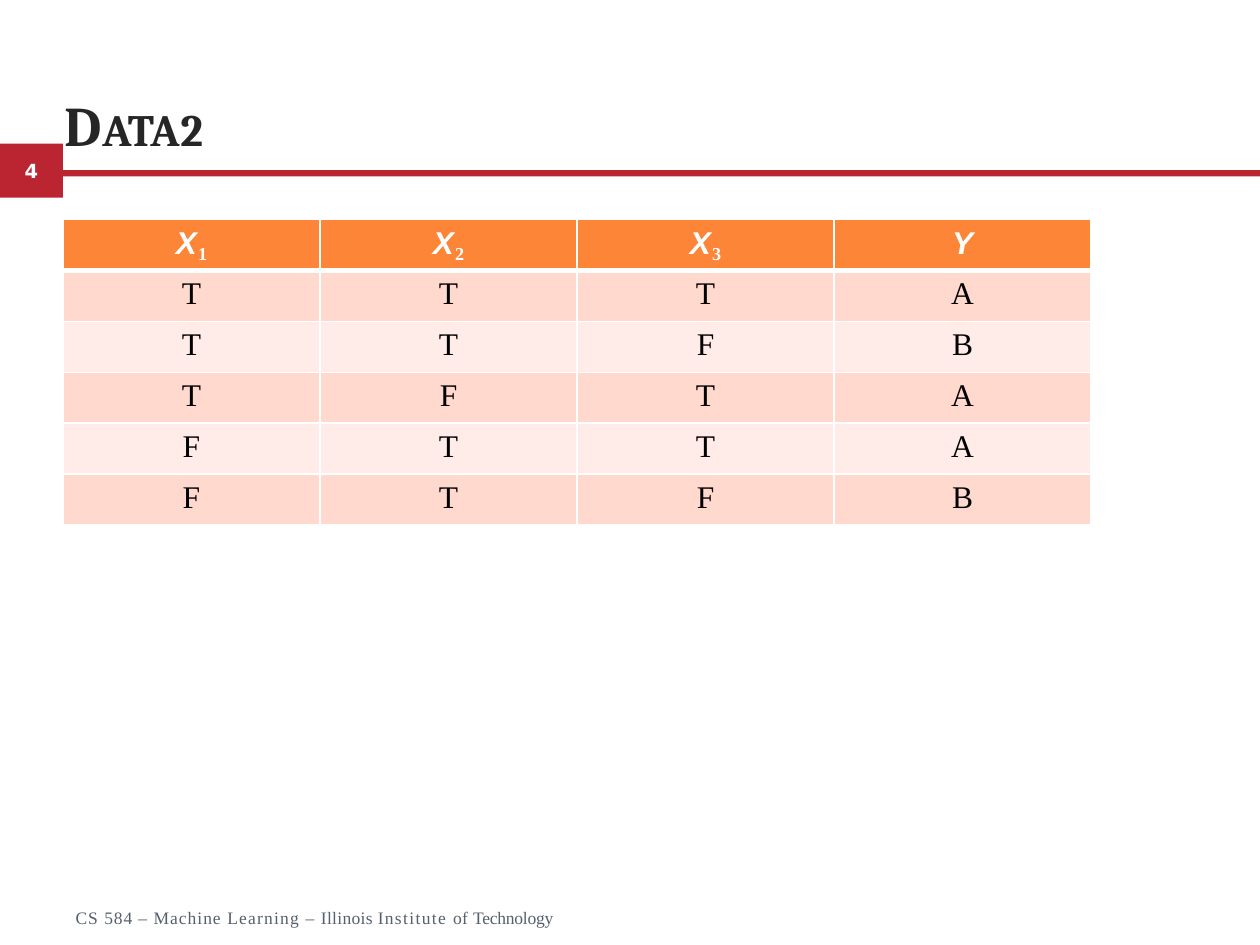
from lxml import etree
from pptx import Presentation
from pptx.dml.color import RGBColor
from pptx.enum.shapes import MSO_SHAPE
from pptx.enum.text import MSO_ANCHOR, PP_ALIGN
from pptx.oxml.ns import qn
from pptx.util import Inches, Pt

RECT = MSO_SHAPE.RECTANGLE
CENTER, LEFT = PP_ALIGN.CENTER, PP_ALIGN.LEFT
TOP, MIDDLE, BOTTOM = MSO_ANCHOR.TOP, MSO_ANCHOR.MIDDLE, MSO_ANCHOR.BOTTOM

COLORS = {
    "accent": "BB2532",
    "title": "262626",
    "footer": "565F6C",
    "header": "FD8537",
    "odd": "FFD9CE",
    "even": "FFECE8",
    "white": "FFFFFF",
    "black": "000000",
}
TITLE = {"name": "Cambria", "size": Pt(32), "bold": True}
NUMBER = {"name": "DejaVu Sans", "size": Pt(11.1), "bold": True}
FOOTER = {"name": "Times New Roman", "size": Pt(10)}
VARIABLE = {"name": "Arial", "size": Pt(18), "bold": True, "italic": True}
INDEX = {"name": "Times New Roman", "size": Pt(18), "bold": True}
VALUE = {"name": "Times New Roman", "size": Pt(18), "bold": False}

HEADERS = [("X", "1"), ("X", "2"), ("X", "3"), ("Y", "")]
ROWS = ["TTTA", "TTFB", "TFTA", "FTTA", "FTFB"]
FOOTER_RUNS = [
    ("CS ", 60), ("584 ", 50), ("– Machine ", 60), ("Learning ", 70), ("– ", 60),
    ("Illinois ", 20), ("Institute ", 80), ("of ", 20), ("Technology", -10),
]


def rgb(color):
    return RGBColor.from_string(COLORS[color])


def add_run(p, text, style, color, **props):
    r = p.add_run()
    r.text = text
    for name, value in style.items():
        setattr(r.font, name, value)
    r.font.color.rgb = rgb(color)
    for name, value in props.items():
        r._r.get_or_add_rPr().set(name, str(value))


def add_bar(s, x, y, w, h):
    sp = s.shapes.add_shape(RECT, Inches(x), Inches(y), Inches(w), Inches(h))
    sp.shadow.inherit = False
    sp.fill.solid()
    sp.fill.fore_color.rgb = rgb("accent")
    sp.line.fill.background()
    return sp


def set_frame(tf, anchor, align, before=0, top=0):
    frame = {"word_wrap": True, "vertical_anchor": anchor, "margin_left": 0,
             "margin_top": Inches(top), "margin_right": 0, "margin_bottom": 0}
    for name, value in frame.items():
        setattr(tf, name, value)
    p = tf.paragraphs[0]
    p.alignment = align
    p.space_before = Pt(before)
    return p


def add_text(s, x, y, w, h, anchor, before, top=0):
    sp = s.shapes.add_textbox(Inches(x), Inches(y), Inches(w), Inches(h))
    p = set_frame(sp.text_frame, anchor, LEFT, before, top)
    p._p.get_or_add_pPr().set("marL", str(Inches(0.01)))
    return p


def set_borders(cell, widths):
    tcPr = cell._tc.get_or_add_tcPr()
    for side, width in widths.items():
        ln = etree.SubElement(tcPr, qn(f"a:ln{side}"), w=str(Pt(width)))
        fill = etree.SubElement(ln, qn("a:solidFill"))
        etree.SubElement(fill, qn("a:srgbClr"), val=COLORS["white"])


def format_cell(cell, row):
    cell.margin_left = cell.margin_right = cell.margin_bottom = 0
    cell.margin_top = Inches(0.05)
    cell.vertical_anchor = TOP
    set_borders(cell, {"L": 1, "R": 1, "T": 3 if row == 1 else 1, "B": 3 if row == 0 else 1})
    cell.fill.solid()
    cell.fill.fore_color.rgb = rgb("header" if row == 0 else "odd" if row % 2 else "even")
    p = cell.text_frame.paragraphs[0]
    p.alignment = CENTER
    p.space_before = Pt(3.4)
    return p


def add_truth_table(s):
    row_count, col_count = len(ROWS) + 1, len(HEADERS)
    frame = s.shapes.add_table(row_count, col_count, Inches(0.5), Inches(1.74),
                               Inches(2.04 * col_count), Inches(2.43))
    table = frame.table
    for col, (variable, index) in enumerate(HEADERS):
        p = format_cell(table.cell(0, col), 0)
        add_run(p, variable, VARIABLE, "white", spc=80 if index else 0)
        if index:
            add_run(p, index, INDEX, "white", spc=120, baseline=-21000)
    for row, values in enumerate(ROWS, 1):
        for col, value in enumerate(values):
            add_run(format_cell(table.cell(row, col), row), value, VALUE, "black")


def main():
    prs = Presentation()
    prs.slide_width, prs.slide_height = Inches(10), Inches(7.5)
    s = prs.slides.add_slide(prs.slide_layouts[6])

    badge = add_bar(s, 0, 1.14, 0.5, 0.43)
    add_run(set_frame(badge.text_frame, MIDDLE, CENTER), "4", NUMBER, "white")
    add_bar(s, 0.5, 1.35, 9.5, 0.05)

    title = add_text(s, 0.5, 0.7, 9, 0.55, BOTTOM, 1, 0.01)
    add_run(title, "Data2", TITLE, "title", spc=50, cap="small")

    footer = add_text(s, 0.59, 7.2, 3.94, 0.2, TOP, 0.8)
    for text, spacing in FOOTER_RUNS:
        add_run(footer, text, FOOTER, "footer", spc=spacing)

    add_truth_table(s)
    prs.save("out.pptx")


if __name__ == "__main__":
    main()
